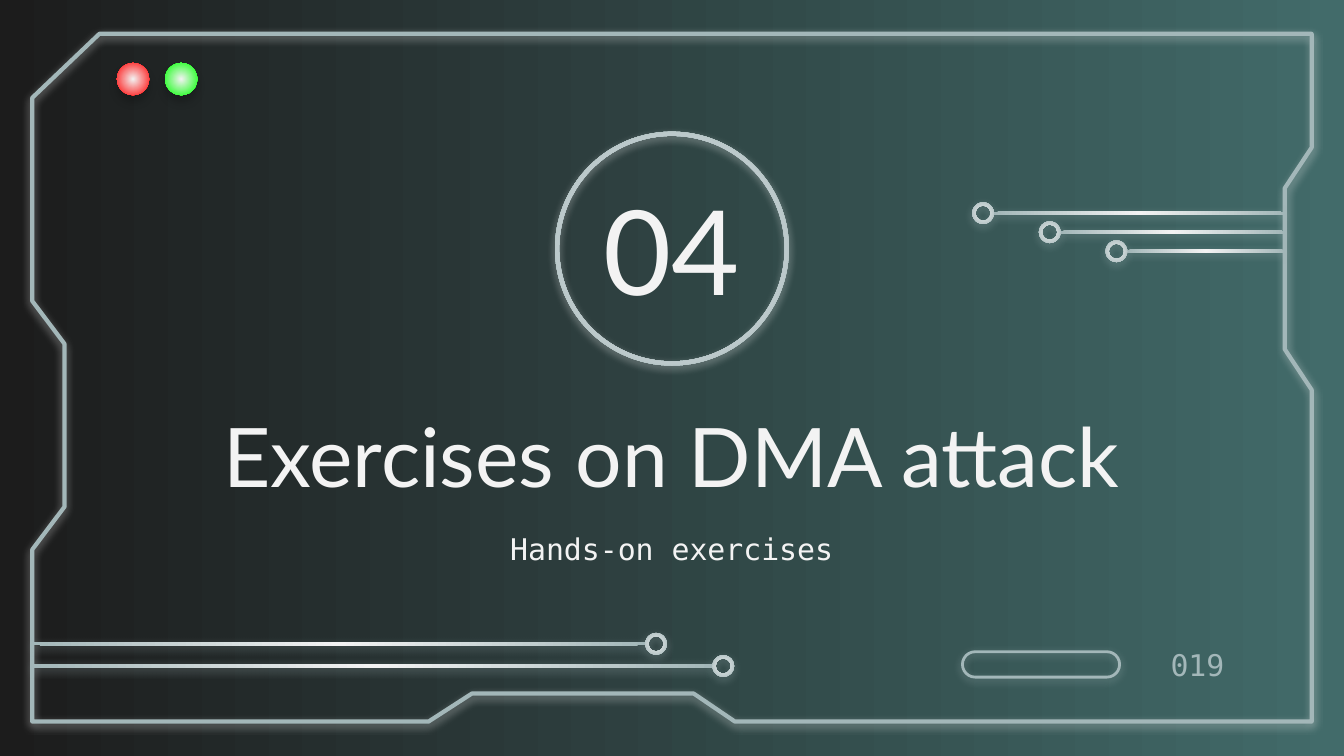
from dataclasses import dataclass

from lxml.etree import SubElement
from pptx import Presentation
from pptx.dml.color import RGBColor
from pptx.enum.shapes import MSO_SHAPE
from pptx.enum.text import MSO_ANCHOR, PP_ALIGN
from pptx.oxml.ns import qn
from pptx.util import Cm, Pt


@dataclass(frozen=True)
class Theme:
    dark: str = "1C1C1C"
    teal: str = "426B6A"
    light: str = "F3F3F3"
    steel: str = "A3B7B9"
    red: str = "FF0000"
    green: str = "00FF00"
    black: str = "000000"
    heading_font: str = "Lato"
    body_font: str = "DejaVu Sans Mono"
    number_size: int = 63
    title_size: int = 44
    body_size: int = 16


class SlideBuilder:
    def __init__(self, page, theme):
        self.page = page
        self.theme = theme

    def gradient(self, fill, inner, outer):
        fill.gradient()
        for stop, color, position in zip(fill.gradient_stops, (inner, outer), (0, 1)):
            stop.color.rgb = RGBColor.from_string(color)
            stop.position = position

    def background(self):
        fill = self.page.background.fill
        self.gradient(fill, self.theme.dark, self.theme.teal)
        fill.gradient_angle = 0

    def shadow(self, shape, color, opacity=50, distance=1.5):
        shape.shadow.inherit = False
        effects = shape._element.spPr.find(qn("a:effectLst"))
        outer = SubElement(effects, qn("a:outerShdw"), blurRad=str(Pt(4.5)),
                           dist=str(Pt(distance)), dir="5400000",
                           algn="bl", rotWithShape="0")
        tint = SubElement(outer, qn("a:srgbClr"), val=color)
        SubElement(tint, qn("a:alpha"), val=str(opacity * 1000))

    def outline(self, shape, width, glow):
        shape.fill.background()
        shape.line.color.rgb = RGBColor.from_string(self.theme.steel)
        shape.line.width = Pt(width)
        self.shadow(shape, glow)

    def frame(self, points):
        corners = [(Cm(x), Cm(y)) for x, y in points]
        builder = self.page.shapes.build_freeform(*corners[0])
        builder.add_line_segments(corners[1:], close=True)
        self.outline(builder.convert_to_shape(), 2.25, self.theme.light)

    def shape(self, kind, left, top, width, height, adjustment=None):
        shape = self.page.shapes.add_shape(kind, Cm(left), Cm(top), Cm(width), Cm(height))
        if adjustment is not None:
            shape.adjustments[0] = adjustment
        return shape

    def radial(self, kind, left, top, width, height, color, adjustment=None):
        shape = self.shape(kind, left, top, width, height, adjustment)
        shape.line.fill.background()
        self.gradient(shape.fill, self.theme.light, color)
        gradient = shape._element.spPr.find(qn("a:gradFill"))
        gradient.remove(gradient.find(qn("a:lin")))
        circle = SubElement(gradient, qn("a:path"), path="circle")
        SubElement(circle, qn("a:fillToRect"), l="50000", t="50000", r="50000", b="50000")
        return shape

    def ring(self, center_x, center_y, size, thickness, glow):
        ring = self.radial(MSO_SHAPE.DONUT, center_x - size / 2, center_y - size / 2,
                           size, size, self.theme.steel, thickness)
        self.shadow(ring, glow)

    def trace(self, edge, center_x, center_y, size=0.41, thickness=0.06):
        tip = center_x + size / 2 if edge > center_x else center_x - size / 2
        bar = self.radial(MSO_SHAPE.RECTANGLE, min(edge, tip), center_y - thickness / 2,
                          abs(edge - tip), thickness, self.theme.steel)
        self.shadow(bar, self.theme.steel)
        self.ring(center_x, center_y, size, 0.15, self.theme.steel)

    def light(self, left, top, color, size=0.61):
        light = self.radial(MSO_SHAPE.OVAL, left, top, size, size, color)
        self.shadow(light, self.theme.black, opacity=20, distance=3.8)

    def pill(self, left, top, width, height):
        pill = self.shape(MSO_SHAPE.ROUNDED_RECTANGLE, left, top, width, height, 0.5)
        self.outline(pill, 1.5, self.theme.steel)

    def text(self, text, *, left, top, width, height, size, font, color,
             align=PP_ALIGN.CENTER, anchor=MSO_ANCHOR.MIDDLE, wrap=True):
        box = self.page.shapes.add_textbox(Cm(left), Cm(top), Cm(width), Cm(height))
        frame = box.text_frame
        frame.word_wrap = wrap
        frame.vertical_anchor = anchor
        frame.margin_left = frame.margin_right = Cm(0.25)
        frame.margin_top = frame.margin_bottom = Cm(0.25)
        para = frame.paragraphs[0]
        para.alignment = align
        span = para.add_run()
        span.text = text
        span.font.name = font
        span.font.size = Pt(size)
        span.font.color.rgb = RGBColor.from_string(color)


def main():
    theme = Theme()
    deck = Presentation()
    deck.slide_width, deck.slide_height = Cm(25.4), Cm(14.29)
    builder = SlideBuilder(deck.slides.add_slide(deck.slide_layouts[6]), theme)

    left_edge, right_edge, notch_edge = 0.61, 24.79, 24.28
    builder.background()
    builder.frame([
        (right_edge, 13.64), (13.89, 13.64), (13.11, 13.11), (8.92, 13.11),
        (8.1, 13.64), (left_edge, 13.64), (left_edge, 10.39), (1.22, 9.58),
        (1.22, 6.5), (left_edge, 5.69), (left_edge, 1.85), (1.88, 0.64),
        (right_edge, 0.64), (right_edge, 2.79), (notch_edge, 3.56),
        (notch_edge, 6.6), (right_edge, 7.37),
    ])

    builder.ring(12.7, 4.7, 4.42, 0.018, theme.light)
    builder.text("Exercises on DMA attack", left=2.59, top=7.24, width=20.22, height=2.54,
                 size=theme.title_size, font=theme.heading_font, color=theme.light,
                 anchor=MSO_ANCHOR.BOTTOM)
    builder.text("Hands-on exercises", left=3.78, top=9.78, width=17.83, height=1.14,
                 size=theme.body_size, font=theme.body_font, color=theme.light,
                 anchor=MSO_ANCHOR.TOP)
    builder.text("04", left=10.16, top=3.53, width=5.08, height=2.34,
                 size=theme.number_size, font=theme.heading_font, color=theme.light)

    for index in range(3):
        builder.trace(notch_edge, 18.58 + 1.26 * index, 4.03 + 0.36 * index)
    for center_x, center_y in ((12.4, 12.17), (13.67, 12.59)):
        builder.trace(left_edge, center_x, center_y)

    builder.text("019", left=21.87, top=12.32, width=1.52, height=0.48,
                 size=theme.body_size, font=theme.body_font, color=theme.steel,
                 align=PP_ALIGN.RIGHT, wrap=False)
    builder.light(2.21, 1.19, theme.red)
    builder.light(3.12, 1.19, theme.green)
    builder.pill(18.19, 12.32, 2.97, 0.48)

    deck.save("out.pptx")


if __name__ == "__main__":
    main()
